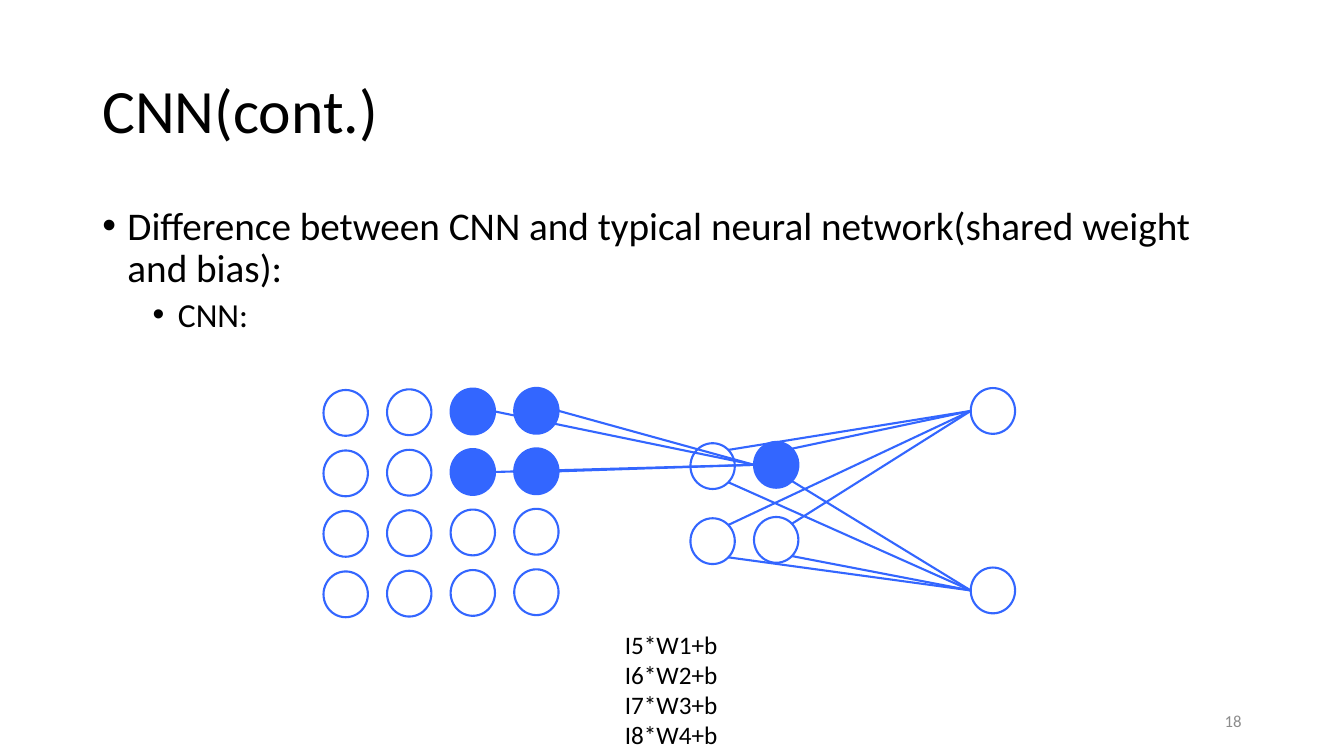
import math
import pptx
import pptx.util
import pptx.dml.color
import pptx.enum.shapes
import pptx.enum.text
import pptx.oxml
import pptx.oxml.ns
from dataclasses import dataclass

Pt = pptx.util.Pt
RGB = pptx.dml.color.RGBColor.from_string
ALIGN = pptx.enum.text.PP_ALIGN
ANCHOR = pptx.enum.text.MSO_ANCHOR

# Content
TITLE = "CNN(cont.)"
POINTS = [
    (0, "Difference between CNN and typical neural network(shared weight and bias):"),
    (1, "CNN:"),
]
SUMS = ["I5*W1+b", "I6*W2+b", "I7*W3+b", "I8*W4+b"]
PAGE = "18"

# Layers: left, top, step across, step down, rise per column, columns, rows, filled cells
LAYERS = {
    "input": (231.1, 278.6, 45.4, 43.2, 0.5, 4, 4, {(2, 0), (2, 1), (3, 0), (3, 1)}),
    "hidden": (493.2, 316.6, 45.4, 53.6, 0.9, 2, 2, {(1, 0)}),
    "output": (693.4, 277.2, 0, 128.2, 0, 1, 2, set()),
}
WIDE, HIGH = 31.7, 32.7


@dataclass
class Theme:
    font: str = "Calibri"
    ink: str = "000000"
    grey: str = "8C8C8C"
    blue: str = "3366FF"
    line: float = 1.5
    title: int = 44
    body: tuple = (28, 24)
    sums: int = 18
    page: int = 12


theme = Theme()
deck = pptx.Presentation()
deck.slide_width, deck.slide_height = Pt(960), Pt(540)
slide = deck.slides.add_slide(deck.slide_layouts[6])
shapes = slide.shapes


def add_box(left, top, width, height, anchor=ANCHOR.TOP, wrap=True):
    frame = shapes.add_textbox(Pt(left), Pt(top), Pt(width), Pt(height)).text_frame
    frame.word_wrap = wrap
    frame.vertical_anchor = anchor
    return frame


def add_text(frame, index, text, size, color=theme.ink):
    para = frame.add_paragraph() if index else frame.paragraphs[0]
    run = para.add_run()
    run.text = text
    run.font.name = theme.font
    run.font.size = Pt(size)
    run.font.color.rgb = RGB(color)
    return para


def add_bullet(para, level):
    para.level = level
    para.line_spacing = 0.9
    para.space_before = Pt(5 if level else 10)
    props = para._p.get_or_add_pPr()
    props.set("marL", str(Pt(18 + 36 * level)))
    props.set("indent", str(Pt(-18)))
    space = pptx.oxml.ns.nsdecls("a")
    for tag in ('buFont {} typeface="Arial"', 'buChar {} char="•"'):
        props.append(pptx.oxml.parse_xml(f"<a:{tag.format(space)}/>"))


def add_node(left, top, solid):
    node = shapes.add_shape(pptx.enum.shapes.MSO_SHAPE.OVAL,
                            Pt(left), Pt(top), Pt(WIDE), Pt(HIGH))
    node.shadow.inherit = False
    if solid:
        node.fill.solid()
        node.fill.fore_color.rgb = RGB(theme.blue)
    else:
        node.fill.background()
    node.line.color.rgb = RGB(theme.blue)
    node.line.width = Pt(theme.line)


def add_layer(name):
    left, top, across, down, rise, cols, rows, solid = LAYERS[name]
    spots = {}
    for col in range(cols):
        for row in range(rows):
            spot = left + across * col, top + down * row - rise * col
            add_node(*spot, (col, row) in solid)
            spots[col, row] = spot
    return spots


def rim(spot, angle):
    turn = math.radians(angle)
    return (spot[0] + WIDE / 2 * (1 + math.cos(turn)),
            spot[1] + HIGH / 2 * (1 + math.sin(turn)))


def add_link(start, end):
    link = shapes.add_connector(pptx.enum.shapes.MSO_CONNECTOR.STRAIGHT,
                                *(Pt(v) for v in (*start, *end)))
    link.line.color.rgb = RGB(theme.blue)
    link.line.width = Pt(theme.line)
    link._element.spPr.append(pptx.oxml.parse_xml(
        f"<a:effectLst {pptx.oxml.ns.nsdecls('a')}/>"))


# Title, bullets and page number
head = add_text(add_box(66, 28.8, 828, 104.4, ANCHOR.MIDDLE), 0, TITLE, theme.title)
head.line_spacing = 0.9
body = add_box(66, 144, 828, 342.7)
for index, (level, text) in enumerate(POINTS):
    add_bullet(add_text(body, index, text, theme.body[level]), level)
page = add_box(678, 500.5, 216, 28.8, ANCHOR.MIDDLE)
add_text(page, 0, PAGE, theme.page, theme.grey).alignment = ALIGN.RIGHT

# Network nodes
spots = {name: add_layer(name) for name in LAYERS}

# Each hidden node feeds both outputs
for node in spots["hidden"].values():
    for goal, angle in zip(spots["output"].values(), (-45, 45)):
        add_link(rim(node, angle), rim(goal, 180))

# The filled patch feeds the filled hidden node
goal = rim(spots["hidden"][1, 0], 180)
for cell in sorted(LAYERS["input"][-1]):
    add_link(rim(spots["input"][cell], 0), goal)

# Weighted sums
sums = add_box(439.2, 445.7, 81.4, 94.3, wrap=False)
sums.auto_size = pptx.enum.text.MSO_AUTO_SIZE.SHAPE_TO_FIT_TEXT
for index, text in enumerate(SUMS):
    add_text(sums, index, text, theme.sums)

deck.save("out.pptx")
